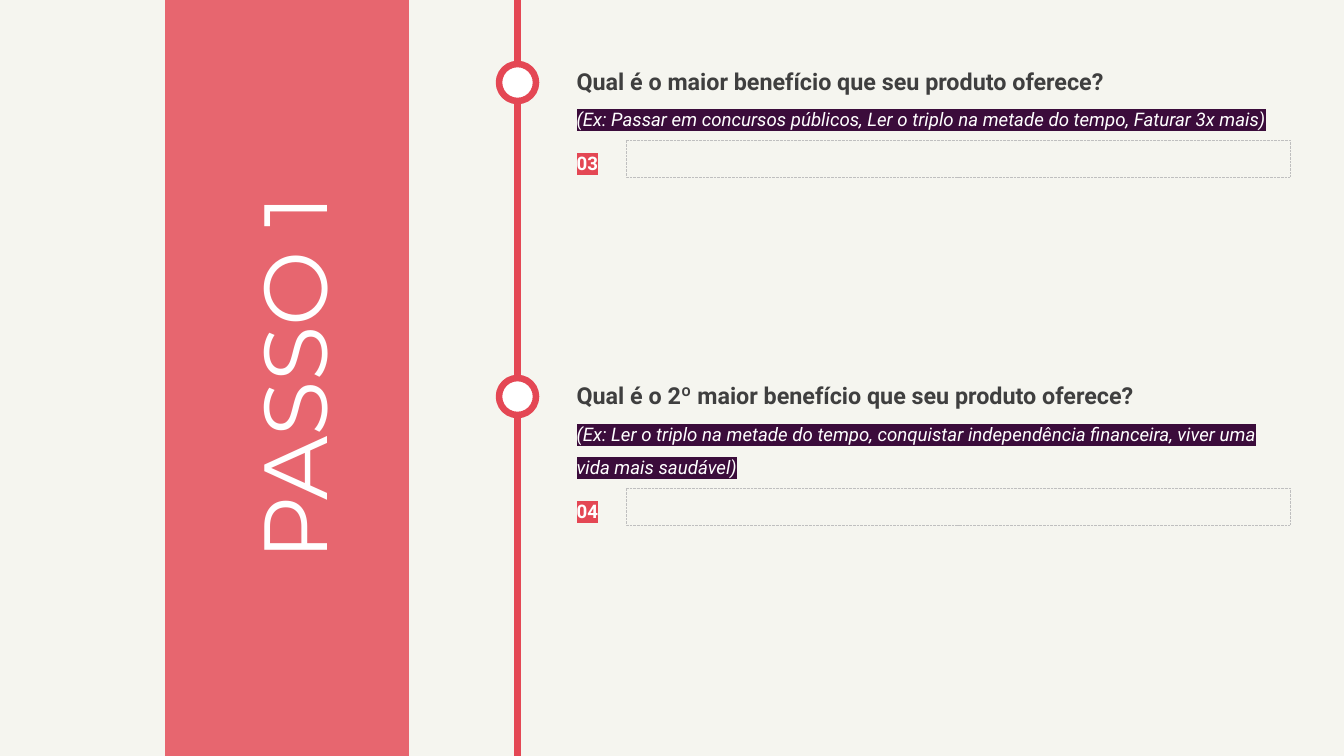
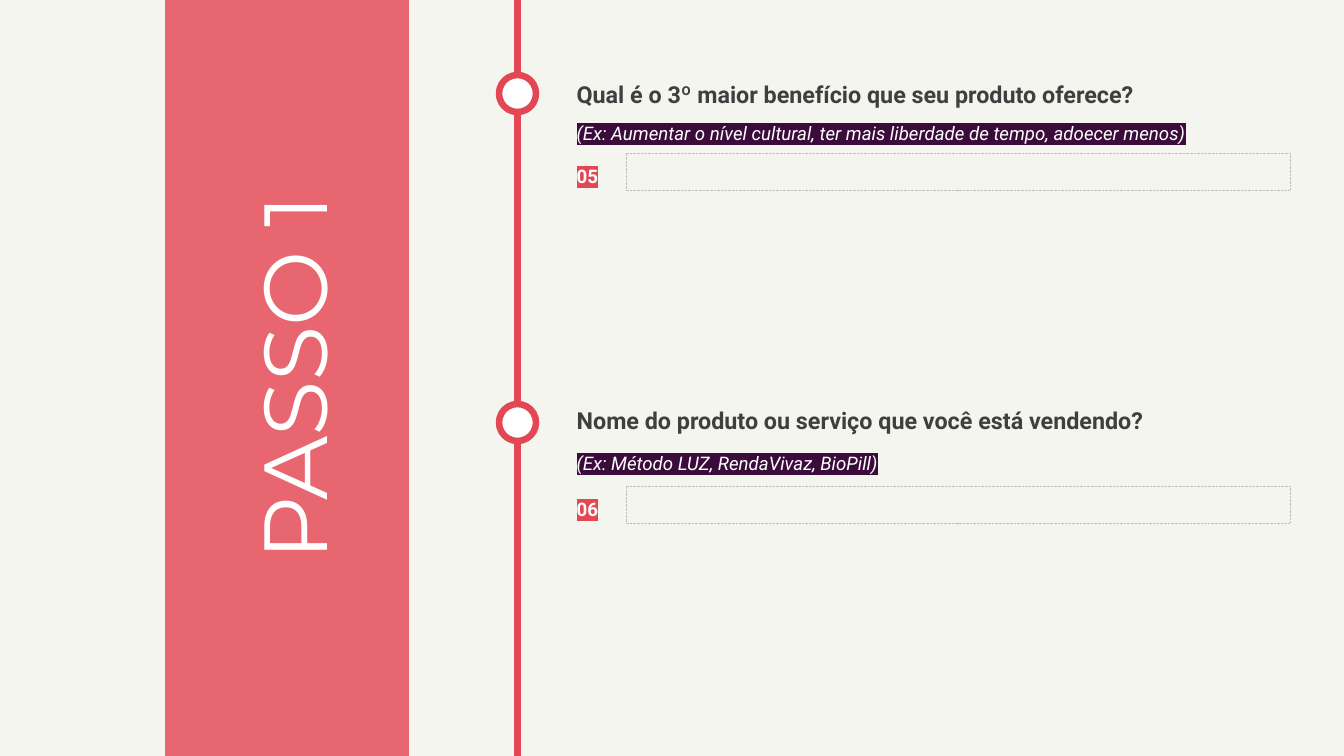
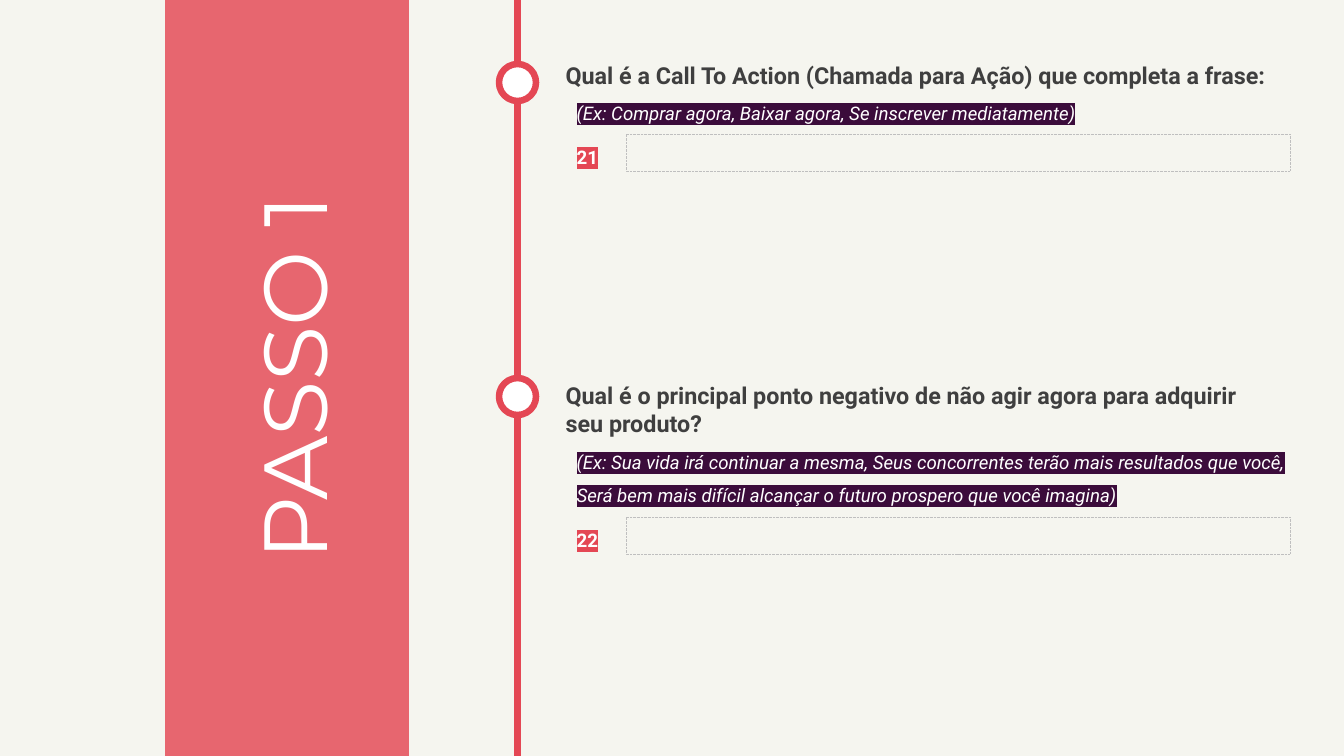
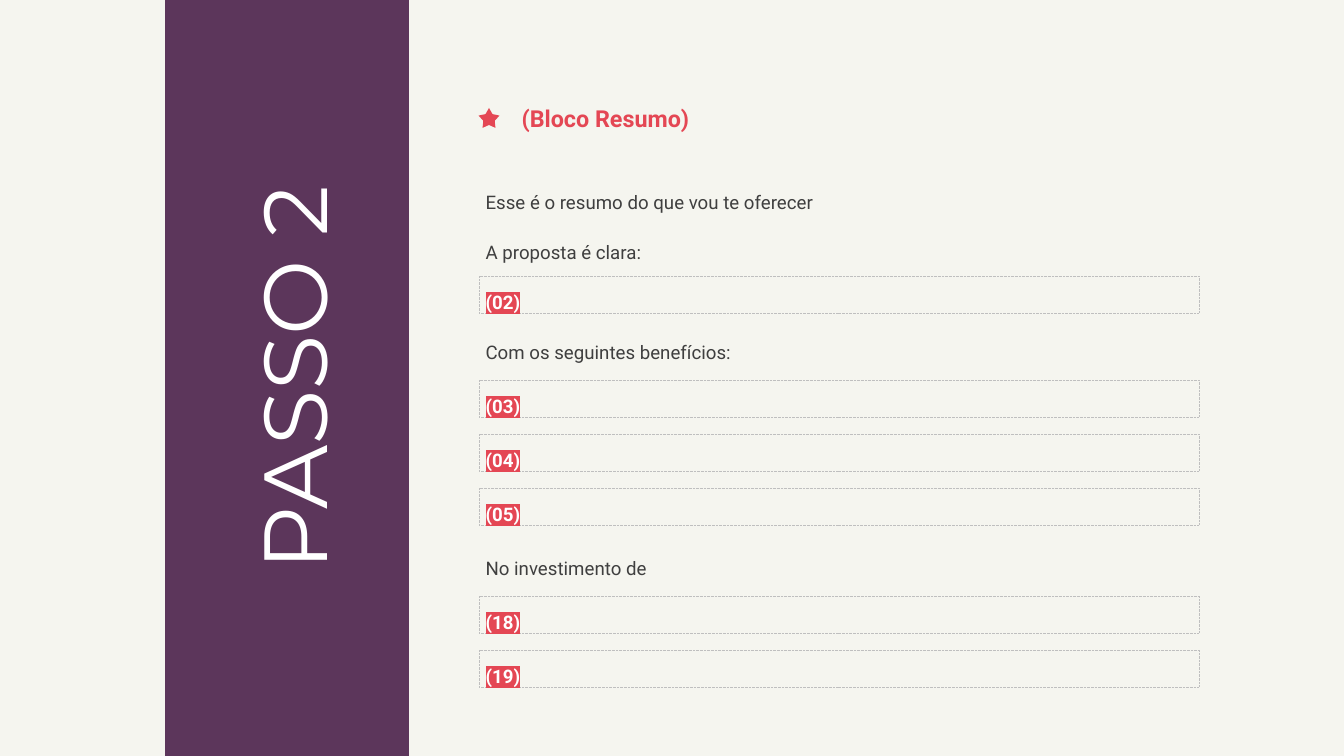
from dataclasses import dataclass
from itertools import accumulate
from math import cos, pi, sin

from lxml import etree
from pptx import Presentation
from pptx import util as u
from pptx.dml.color import RGBColor
from pptx.enum import dml, shapes, text
from pptx.oxml import ns

PX = 914400 / 67.2
WIDTH, HEIGHT = 1344, 756
RED, PURPLE, INK, WHITE = "E44754", "3B0C3B", "3F3F3F", "FFFFFF"
PAPER, GREY = "F5F5EF", "BFBFBF"

QUESTION = {"size": 25, "name": "Roboto", "color": INK, "bold": True}
HEADING = QUESTION | {"color": RED}
STATEMENT = {"size": 20, "name": "Roboto", "color": INK}
EXAMPLE = STATEMENT | {"color": WHITE, "italic": True}
NUMBER = STATEMENT | {"color": WHITE, "bold": True}
STEP = {"size": 96, "name": "Montserrat", "color": WHITE}


@dataclass
class Item:
    """One question; the three offsets are measured from the top of its ring."""
    number: str
    question: str
    example: str
    top: int
    question_offset: int
    example_offset: int
    answer_offset: int
    question_lines: int = 1
    example_lines: int = 1


def emu(*lengths):
    return [u.Emu(round(length * PX)) for length in lengths]


def color(hex_string):
    return RGBColor.from_string(hex_string)


def write(shape, content, style, spacing=None, highlight=None, align=text.PP_ALIGN.LEFT):
    frame = shape.text_frame
    frame.word_wrap = True
    frame.auto_size = text.MSO_AUTO_SIZE.SHAPE_TO_FIT_TEXT
    frame.vertical_anchor = text.MSO_ANCHOR.TOP
    paragraph = frame.paragraphs[0]
    paragraph.alignment = align
    paragraph.line_spacing = spacing
    run = paragraph.add_run()
    run.text = content
    for key, value in style.items():
        if key == "color":
            run.font.color.rgb = color(value)
        else:
            setattr(run.font, key, u.Pt(value) if key == "size" else value)
    if highlight:
        mark = etree.Element(ns.qn("a:highlight"))
        etree.SubElement(mark, ns.qn("a:srgbClr"), val=highlight)
        run.font.fill  # the colour is already set, so the mark follows it
        run._r.rPr.find(ns.qn("a:solidFill")).addnext(mark)


def add_text(slide, box, content, style, **options):
    write(slide.shapes.add_textbox(*emu(*box)), content, style, **options)


def paint(shape, fill=None, line=None, width=0.75):
    shape.shadow.inherit = False
    if fill:
        shape.fill.solid()
        shape.fill.fore_color.rgb = color(fill)
    else:
        shape.fill.background()
    if line:
        shape.line.color.rgb = color(line)
        shape.line.width = u.Pt(width)
    else:
        shape.line.fill.background()
    return shape


def add_shape(slide, kind, box, **colors):
    return paint(slide.shapes.add_shape(kind, *emu(*box)), **colors)


def add_answer_box(slide, box):
    shape = add_shape(slide, shapes.MSO_SHAPE.RECTANGLE, box, line=GREY)
    shape.line.dash_style = dml.MSO_LINE.ROUND_DOT
    return shape


def add_step_slide(presentation, title, band_color):
    """Add a slide with the translucent band and its upright title."""
    slide = presentation.slides.add_slide(presentation.slide_layouts[5])
    band = add_shape(slide, shapes.MSO_SHAPE.RECTANGLE, (165, 0, 244, HEIGHT), fill=band_color)
    fill_color = band.element.spPr.find(ns.qn("a:solidFill"))[0]
    etree.SubElement(fill_color, ns.qn("a:alpha"), val="82000")

    heading = slide.shapes.title
    heading.left, heading.top, heading.width, heading.height = emu(52, 320, 482, 116)
    heading.rotation = 270
    write(heading, title, STEP, align=text.PP_ALIGN.CENTER)
    band.element.addnext(heading.element)
    return slide


def add_item(slide, item, question_box):
    left, width = question_box
    top = item.top
    add_shape(slide, shapes.MSO_SHAPE.OVAL, (499, top, 37, 37), fill=WHITE, line=RED, width=7)
    add_text(slide, (left, top + item.question_offset, width, 7 + 28 * item.question_lines),
             item.question, QUESTION)
    add_text(slide, (570, top + item.example_offset, 726, 3 + 34 * item.example_lines),
             item.example, EXAMPLE, spacing=1.5, highlight=PURPLE)
    answer_top = top + item.answer_offset
    add_text(slide, (570, answer_top - 3, 56, 37), item.number, NUMBER,
             spacing=1.5, highlight=RED)
    add_answer_box(slide, (626, answer_top, 664, 37))


def add_question_slide(presentation, items, question_box=(570, 658)):
    slide = add_step_slide(presentation, "PASSO 1", RED)
    add_shape(slide, shapes.MSO_SHAPE.RECTANGLE, (514, -1, 7, HEIGHT + 2), fill=RED)
    for item in items:
        add_item(slide, item, question_box)


def add_star(slide, center_x, center_y, outer=11, inner=6):
    points = []
    for corner in range(10):
        radius = inner if corner % 2 else outer
        angle = corner * pi / 5
        points.append(emu(center_x + radius * sin(angle), center_y - radius * cos(angle)))
    builder = slide.shapes.build_freeform(*points[0])
    builder.add_line_segments(points[1:], close=True)
    paint(builder.convert_to_shape(), fill=RED)


def add_summary_slide(presentation, rows, left=479, top=176, width=720):
    slide = add_step_slide(presentation, "PASSO 2", PURPLE)
    add_star(slide, left + 10, 119)
    add_text(slide, (left + 36, 101, width - 12, 35), "(Bloco Resumo)", HEADING)
    row_tops = accumulate([50] * 3 + [54] * 6, initial=top)
    for content, row_top in zip(rows, row_tops):
        box = (left, row_top, width, 37)
        if content.startswith("("):
            write(add_answer_box(slide, box), content, NUMBER, spacing=1.5, highlight=RED)
        else:
            add_text(slide, box, content, STATEMENT, spacing=1.5)


BENEFITS = [
    Item("03", "Qual é o maior benefício que seu produto oferece?",
         "(Ex: Passar em concursos públicos, Ler o triplo na metade do tempo, Faturar 3x mais)",
         64, 0, 29, 76),
    Item("04", "Qual é o 2º maior benefício que seu produto oferece?",
         "(Ex: Ler o triplo na metade do tempo, conquistar independência financeira, "
         "viver uma vida mais saudável)",
         378, 0, 30, 110, example_lines=2),
]
PRODUCT = [
    Item("05", "Qual é o 3º maior benefício que seu produto oferece?",
         "(Ex: Aumentar o nível cultural, ter mais liberdade de tempo, adoecer menos)",
         75, 2, 32, 78),
    Item("06", "Nome do produto ou serviço que você está vendendo?",
         "(Ex: Método LUZ, RendaVivaz, BioPill)", 404, -1, 33, 82),
]
ACTION = [
    Item("21", "Qual é a Call To Action (Chamada para Ação) que completa a frase:",
         "(Ex: Comprar agora, Baixar agora, Se inscrever mediatamente)", 64, -6, 23, 70),
    Item("22", "Qual é o principal ponto negativo de não agir agora para adquirir seu produto?",
         "(Ex: Sua vida irá continuar a mesma, Seus concorrentes terão mais resultados que você, "
         "Será bem mais difícil alcançar o futuro prospero que você imagina)",
         378, 0, 58, 139, question_lines=2, example_lines=2),
]
SUMMARY = [
    "Esse é o resumo do que vou te oferecer", "A proposta é clara:", "(02)",
    "Com os seguintes benefícios:", "(03)", "(04)", "(05)",
    "No investimento de", "(18)", "(19)",
]


def main():
    presentation = Presentation()
    presentation.slide_width, presentation.slide_height = emu(WIDTH, HEIGHT)
    background = presentation.slide_master.background.fill
    background.solid()
    background.fore_color.rgb = color(PAPER)

    add_question_slide(presentation, BENEFITS)
    add_question_slide(presentation, PRODUCT)
    add_question_slide(presentation, ACTION, question_box=(559, 720))
    add_summary_slide(presentation, SUMMARY)
    presentation.save("out.pptx")


if __name__ == "__main__":
    main()
